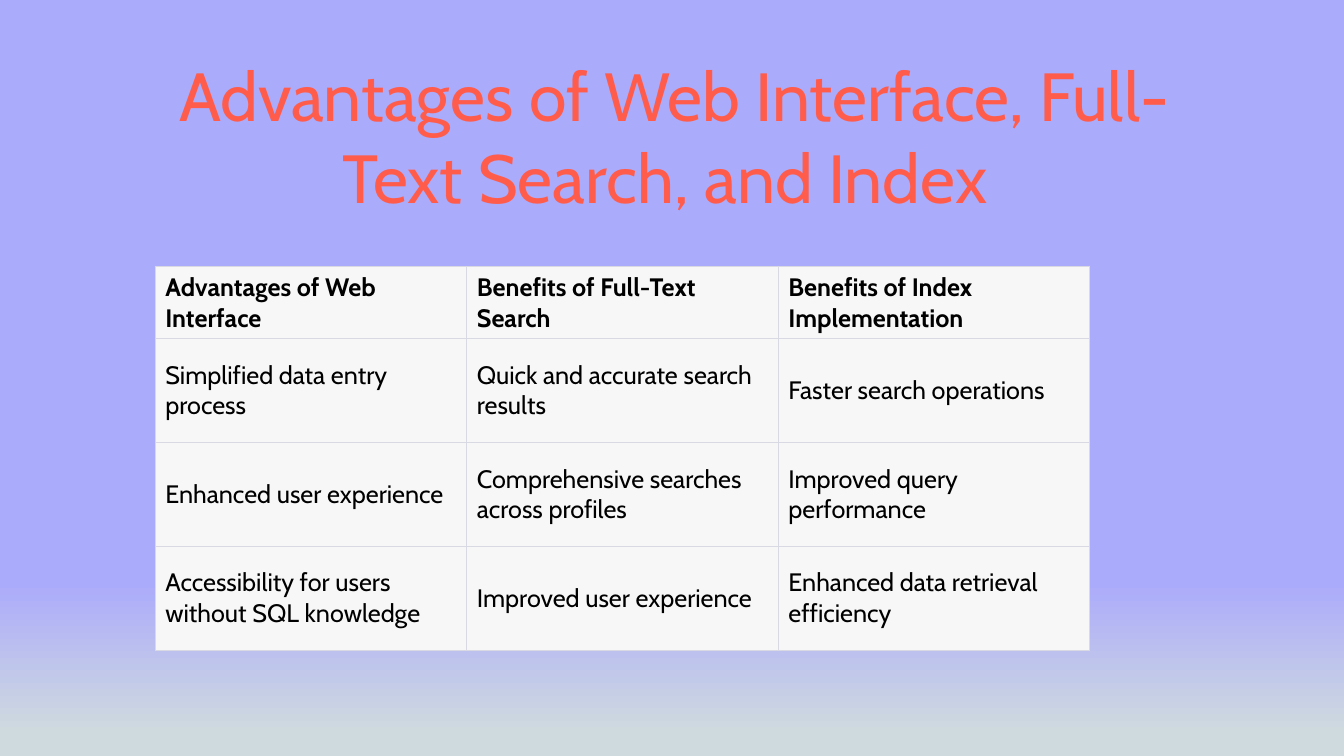
from dataclasses import dataclass

from lxml.etree import SubElement
from pptx import Presentation
from pptx.dml.color import RGBColor
from pptx.enum.text import MSO_ANCHOR as Anchor, PP_ALIGN as Align
from pptx.oxml.ns import qn
from pptx.slide import Slide
from pptx.table import _Cell as Cell
from pptx.text.text import TextFrame as Frame
from pptx.util import Inches, Pt

FONT = "Cabin"
CORAL, BLACK, PALE, RULE = "FF5C4B", "000000", "F7F7F8", "D9D9E3"
STOPS = [(0.77, "ABABFB"), (0.97, "CFDADF")]
TITLE = "Advantages of Web Interface, Full-Text Search, and Index "


@dataclass
class Row:
    texts: tuple[str, str, str]
    height: float = 1.03
    bold: bool = False
    anchor: Anchor = Anchor.MIDDLE


ROWS = [
    Row(("Advantages of Web Interface", "Benefits of Full-Text Search",
         "Benefits of Index Implementation"), 0.72, True, Anchor.BOTTOM),
    Row(("Simplified data entry process", "Quick and accurate search results",
         "Faster search operations")),
    Row(("Enhanced user experience", "Comprehensive searches across profiles",
         "Improved query performance")),
    Row(("Accessibility for users without SQL knowledge",
         "Improved user experience", "Enhanced data retrieval efficiency")),
]


def color(code: str) -> RGBColor:
    return RGBColor.from_string(code)


def write(frame: Frame, text: str, size: float, code: str,
          bold: bool = False, align: Align = Align.LEFT) -> None:
    frame.word_wrap = True
    para = frame.paragraphs[0]
    para.alignment = align
    run = para.add_run()
    run.text = text
    for name, value in {"name": FONT, "size": Pt(size), "bold": bold}.items():
        setattr(run.font, name, value)
    run.font.color.rgb = color(code)


def border(cell: Cell, widths: dict[str, float]) -> None:
    """Draw the cell's sides; lines must come before the fill in tcPr."""
    props = cell._tc.get_or_add_tcPr()
    for spot, (side, width) in enumerate(widths.items()):
        line = SubElement(props, qn(f"a:ln{side}"), w=str(Pt(width)))
        fill = SubElement(line, qn("a:solidFill"))
        SubElement(fill, qn("a:srgbClr"), val=RULE)
        props.insert(spot, line)


def paint(slide: Slide) -> None:
    """Fill the background with a gradient running downward."""
    fill = slide.background.fill
    fill.gradient()
    fill.gradient_angle = 270
    for stop, (place, code) in zip(fill.gradient_stops, STOPS):
        stop.position = place
        stop.color.rgb = color(code)


def add_title(slide: Slide) -> None:
    box = slide.shapes.add_textbox(
        Inches(1.54), Inches(0.34), Inches(10.26), Inches(1.86))
    box.text_frame.vertical_anchor = Anchor.BOTTOM
    write(box.text_frame, TITLE, 48.6, CORAL, align=Align.CENTER)


def add_grid(slide: Slide) -> None:
    frame = slide.shapes.add_table(
        len(ROWS), len(ROWS[0].texts), Inches(1.54), Inches(2.64),
        Inches(9.27), Inches(sum(row.height for row in ROWS)))
    table = frame.table
    table.first_row = table.horz_banding = False
    last = len(ROWS) - 1
    for i, row in enumerate(ROWS):
        table.rows[i].height = Inches(row.height)
        sides = {"L": 0.75, "R": 0.75, "T": 1 if i else 0.75,
                 "B": 1 if i < last else 0.75}
        for j, text in enumerate(row.texts):
            cell = table.cell(i, j)
            cell.vertical_anchor = row.anchor
            cell.fill.solid()
            cell.fill.fore_color.rgb = color(PALE)
            border(cell, sides)
            write(cell.text_frame, text, 18, BLACK, row.bold)


def main() -> None:
    deck = Presentation()
    deck.slide_width, deck.slide_height = Inches(13.33), Inches(7.5)
    slide = deck.slides.add_slide(deck.slide_layouts[6])
    paint(slide)
    add_title(slide)
    add_grid(slide)
    deck.save("out.pptx")


if __name__ == "__main__":
    main()
